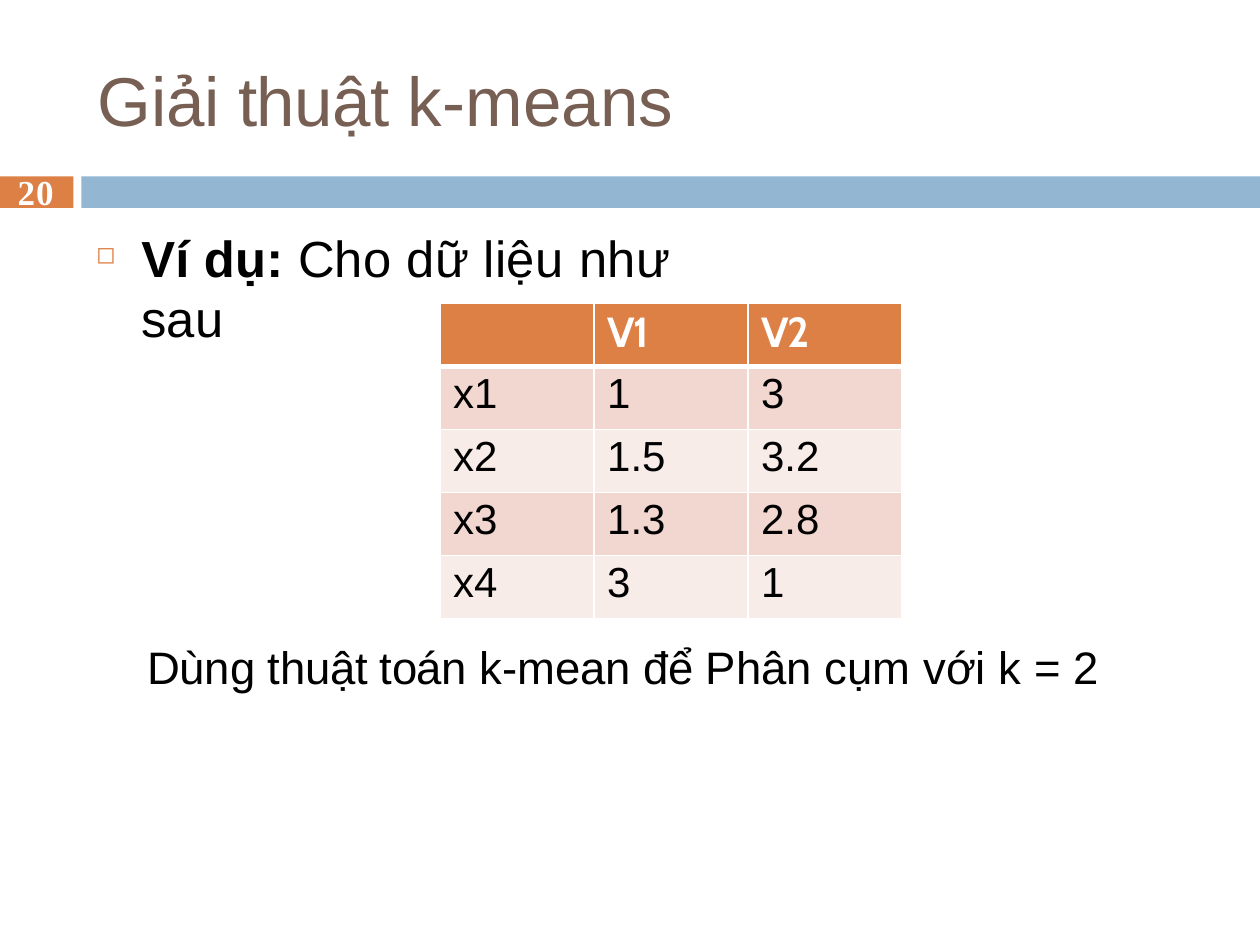
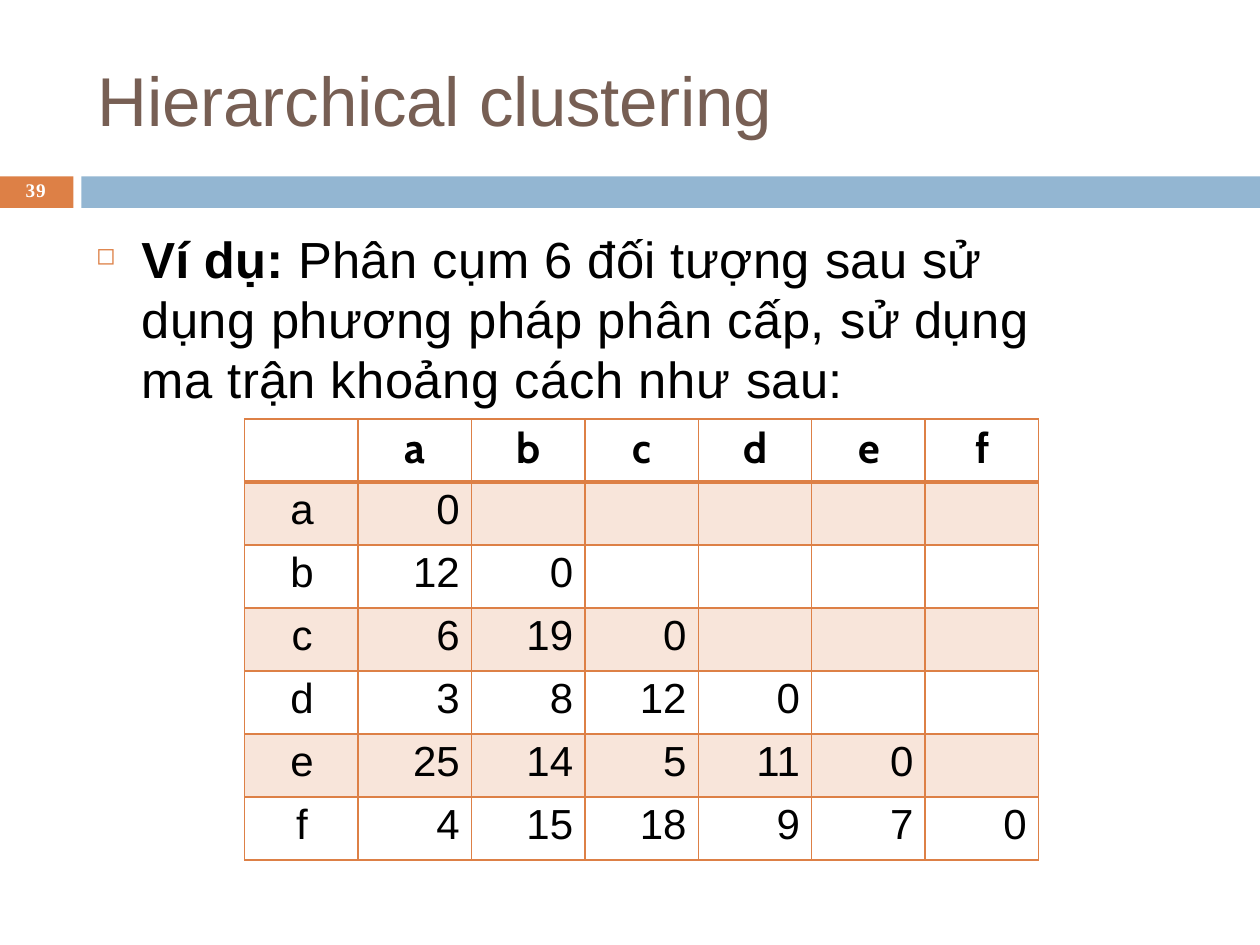
from lxml.etree import SubElement
from pptx import Presentation
from pptx.dml.color import RGBColor
from pptx.enum.shapes import MSO_SHAPE
from pptx.enum.text import PP_ALIGN
from pptx.oxml.ns import qn
from pptx.util import Pt

COLORS = {
    "orange": "DD8046", "blue": "93B6D2", "brown": "775F54",
    "white": "FFFFFF", "black": "000000",
    "rose": "F1D7CF", "pale_rose": "F8ECE9", "peach": "F8E5DA",
}
TITLE = {"size": 39.5, "color": "brown"}
BODY = {"size": 29, "color": "black"}
CLOSING = {"size": 26, "color": "black"}
LEFT, CENTER, RIGHT = PP_ALIGN.LEFT, PP_ALIGN.CENTER, PP_ALIGN.RIGHT


def add_run(p, text, size, color, font="Arial", bold=False, spacing=0):
    r = p.add_run()
    r.text = text
    r.font.size = Pt(size)
    r.font.name = font
    r.font.bold = bold
    r.font.color.rgb = RGBColor.from_string(COLORS[color])
    if spacing:
        r._r.get_or_add_rPr().set("spc", str(round(spacing * 100)))


def add_text(slide, box, top_inset, runs, style):
    tf = slide.shapes.add_textbox(*[Pt(v) for v in box]).text_frame
    tf.word_wrap = True
    tf.margin_left = Pt(0.72)
    tf.margin_right = tf.margin_bottom = 0
    tf.margin_top = Pt(top_inset)
    p = tf.paragraphs[0]
    for text, spacing, *bold in runs:
        add_run(p, text, spacing=spacing, bold=bool(bold), **style)
    return p


pages = [
    {
        "title": [("Giải ", -0.2), ("thuật ", -0.4), ("k-means", 0.1)],
        "title_width": 336,
        "number": "20", "number_size": 20, "number_box": (9.4, 95.5, 40, 25),
        "body_box": (54.2, 126.7, 380, 74),
        "body": [("Ví dụ: ", 0.1, True), ("Cho dữ liệu ", 0.2),
                 ("như ", 0.3), ("sau", 0.1)],
        "closing": [("Dùng ", -0.1), ("thuật toán ", -0.2),
                    ("k-mean để Phân ", -0.1), ("cụm ", 0.1),
                    ("với ", -0.1), ("k = 2", 0.1)],
        "table": {
            "at": (251.5, 173.3), "col_width": 88,
            "rows": [["", "V1", "V2"], ["x1", "1", "3"], ["x2", "1.5", "3.2"],
                     ["x3", "1.3", "2.8"], ["x4", "3", "1"]],
            "header_fill": "orange", "header_color": "white",
            "header_spacing": -0.8,
            "bands": ["rose", "pale_rose"],
            "border": "white", "rule": 3,
            "aligns": (LEFT, LEFT, LEFT),
        },
    },
    {
        "title": [("Hierarchical ", -0.1), ("clustering", -0.2)],
        "title_width": 392,
        "number": "39", "number_size": 11, "number_box": (14, 100, 20, 16),
        "body_box": (54.2, 127.4, 574, 107),
        "body": [("Ví dụ: ", 0.1, True), ("Phân ", 0.2), ("cụm ", 0.3),
                 ("6 ", 0.1), ("đối tượng ", 0.2), ("sau ", 0.1),
                 ("sử ", -0.1), ("dụng ", 0.3), ("phương ", 0.2),
                 ("pháp phân cấp, ", 0.3), ("sử ", -0.1), ("dụng ma ", 0.3),
                 ("trận ", 0.1), ("khoảng cách như ", 0.3), ("sau:", 0.1)],
        "closing": [],
        "table": {
            "at": (139.8, 239.5), "col_width": 64.8,
            "rows": [["", "a", "b", "c", "d", "e", "f"],
                     ["a", "0"],
                     ["b", "12", "0"],
                     ["c", "6", "19", "0"],
                     ["d", "3", "8", "12", "0"],
                     ["e", "25", "14", "5", "11", "0"],
                     ["f", "4", "15", "18", "9", "7", "0"]],
            "header_fill": None, "header_color": "black",
            "header_spacing": 0,
            "bands": ["peach", None],
            "border": "orange", "rule": 2.25,
            "aligns": (CENTER, CENTER, RIGHT),
        },
    },
]

prs = Presentation()
prs.slide_width, prs.slide_height = Pt(720), Pt(540)

for page in pages:
    slide = prs.slides.add_slide(prs.slide_layouts[6])

    for left, width, color in [(0, 42, "orange"), (46.5, 673.5, "blue")]:
        sp = slide.shapes.add_shape(MSO_SHAPE.RECTANGLE, Pt(left), Pt(100.8),
                                    Pt(width), Pt(18))
        sp.shadow.inherit = False
        sp.fill.solid()
        sp.fill.fore_color.rgb = RGBColor.from_string(COLORS[color])
        sp.line.fill.background()

    add_text(slide, (55.2, 30.5, page["title_width"], 50), 2.5, page["title"], TITLE)
    number_style = {"size": page["number_size"], "color": "white",
                    "font": "Times New Roman"}
    add_text(slide, page["number_box"], 2, [(page["number"], 0.5, True)], number_style)

    p = add_text(slide, page["body_box"], 2.9, page["body"], BODY)
    p.line_spacing = Pt(34.5)
    p.space_before = Pt(2.7)
    pPr = p._p.get_or_add_pPr()
    pPr.set("marL", str(Pt(25.9)))
    pPr.set("indent", str(Pt(-25.9)))
    SubElement(SubElement(pPr, qn("a:buClr")), qn("a:srgbClr"), val=COLORS["orange"])
    SubElement(pPr, qn("a:buSzPct"), val="47000")
    SubElement(pPr, qn("a:buChar"), char="◻")

    if page["closing"]:
        add_text(slide, (83.4, 362.5, 550, 34), 2.6, page["closing"], CLOSING)

    spec = page["table"]
    rows = spec["rows"]
    n_cols = len(rows[0])
    left, top = spec["at"]
    table = slide.shapes.add_table(
        len(rows), n_cols, Pt(left), Pt(top),
        Pt(spec["col_width"] * n_cols), Pt(36 * len(rows))).table
    table.first_row = table.horz_banding = False
    for col in table.columns:
        col.width = Pt(spec["col_width"])

    corner_align, header_align, value_align = spec["aligns"]
    for i, row in enumerate(rows):
        table.rows[i].height = Pt(36)
        fill = spec["bands"][(i - 1) % 2] if i else spec["header_fill"]
        for j in range(n_cols):
            cell = table.cell(i, j)
            cell.margin_left, cell.margin_right = Pt(7.5), Pt(6.7)
            cell.margin_top, cell.margin_bottom = Pt(2.4), 0

            tcPr = cell._tc.get_or_add_tcPr()
            for side in "LRTB":
                on_rule = (i, side) in [(0, "B"), (1, "T")]
                ln = SubElement(tcPr, qn("a:ln" + side),
                                w=str(Pt(spec["rule"] if on_rule else 1)))
                SubElement(SubElement(ln, qn("a:solidFill")), qn("a:srgbClr"),
                           val=COLORS[spec["border"]])
            if fill:
                cell.fill.solid()
                cell.fill.fore_color.rgb = RGBColor.from_string(COLORS[fill])
            else:
                cell.fill.background()

            if j >= len(row) or not row[j]:
                continue
            p = cell.text_frame.paragraphs[0]
            if i == 0:
                p.alignment = header_align
                add_run(p, row[j], 24, spec["header_color"], "Cabin", True,
                        spec["header_spacing"])
            else:
                p.alignment = value_align if j else corner_align
                add_run(p, row[j], 24, "black")

prs.save("out.pptx")
